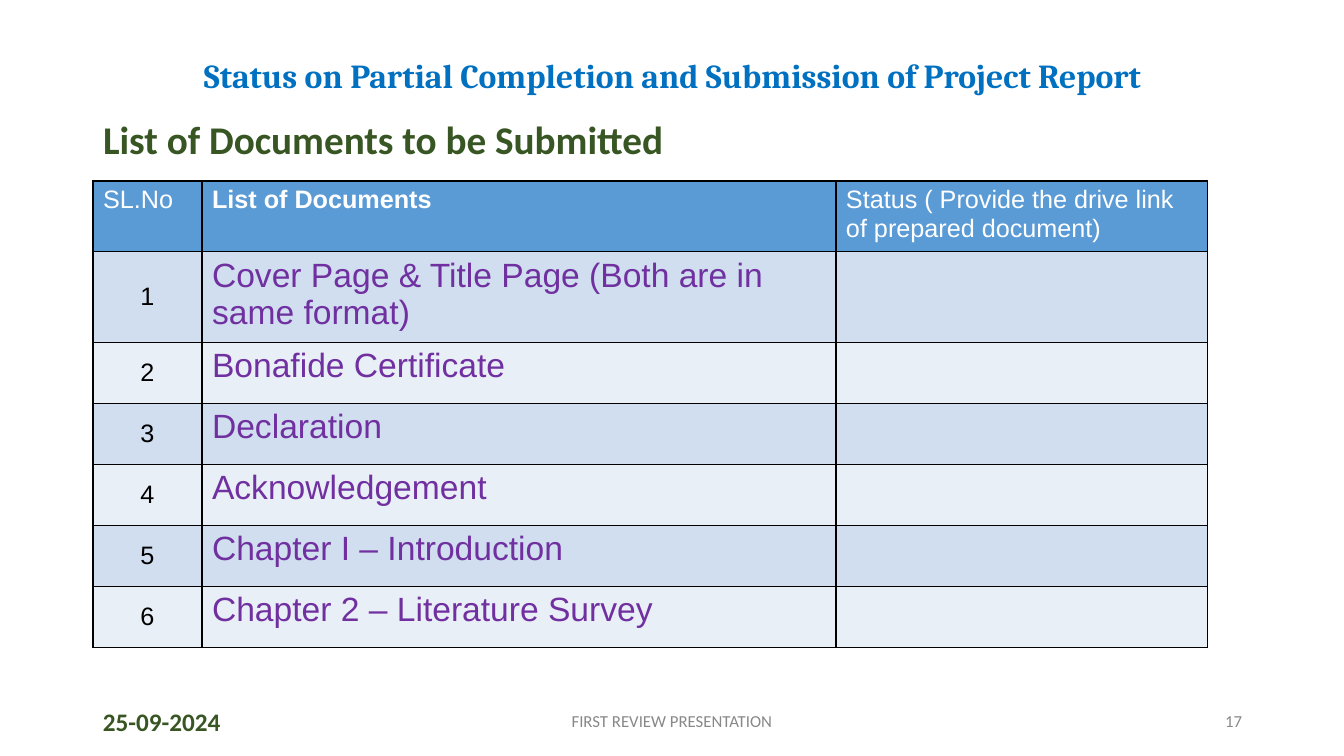
from dataclasses import dataclass

from lxml.etree import SubElement
from pptx import Presentation
from pptx.dml.color import RGBColor
from pptx.enum.text import MSO_ANCHOR as Anchor, MSO_AUTO_SIZE as AutoSize, PP_ALIGN as Align
from pptx.oxml.ns import qn
from pptx.util import Emu, Pt


def px(n: int) -> Emu:
    return Emu(round(n * 12192000 / 1344))


@dataclass(frozen=True)
class Style:
    font: str
    size: int
    color: str
    bold: bool = False


@dataclass(frozen=True)
class Theme:
    title: Style = Style("Cambria", 24, "0070C0", True)
    heading: Style = Style("Calibri", 28, "385623", True)
    date: Style = Style("Calibri", 18, "385623", True)
    footer: Style = Style("Calibri", 12, "888888")
    header: Style = Style("Arial", 18, "FFFFFF")
    header_bold: Style = Style("Arial", 18, "FFFFFF", True)
    number: Style = Style("Arial", 18, "000000")
    document: Style = Style("Arial", 24, "7030A0")
    header_fill: str = "5B9BD5"
    bands: tuple[str, str] = ("D0DEEF", "E9EFF7")
    border: str = "000000"


@dataclass(frozen=True)
class FooterItem:
    text: str
    left: int
    width: int
    align: Align
    style: Style


THEME = Theme()
LEFT, CONTENT_W = 93, 1159
FOOTER_TOP, FOOTER_H = 701, 40
TABLE_TOP, ROW_H = 181, 61
COLUMNS = (109, 634, 372)
HEADERS = (
    ("SL.No", THEME.header),
    ("List of Documents", THEME.header_bold),
    ("Status ( Provide the drive link of prepared document)", THEME.header),
)
DOCUMENTS = (
    "Cover Page & Title Page (Both are in same format)",
    "Bonafide Certificate",
    "Declaration",
    "Acknowledgement",
    "Chapter I – Introduction",
    "Chapter 2 – Literature Survey",
)
FOOTER = (
    FooterItem("25-09-2024", LEFT, 302, Align.LEFT, THEME.date),
    FooterItem("FIRST REVIEW PRESENTATION", 445, 454, Align.CENTER, THEME.footer),
    FooterItem("17", 950, 302, Align.RIGHT, THEME.footer),
)


def write(tf, text: str, style: Style, align: Align = Align.LEFT):
    """Set one formatted paragraph and return it."""
    tf.text = text
    p = tf.paragraphs[0]
    p.alignment = align
    for r in p.runs:
        r.font.name = style.font
        r.font.size = Pt(style.size)
        r.font.bold = style.bold
        r.font.color.rgb = RGBColor.from_string(style.color)
    return p


def fill_placeholder(sp, top: int, height: int, text: str, style: Style,
                     align: Align, anchor: Anchor) -> None:
    sp.left, sp.top, sp.width, sp.height = px(LEFT), px(top), px(CONTENT_W), px(height)
    tf = sp.text_frame
    tf.auto_size = AutoSize.NONE
    tf.vertical_anchor = anchor
    p = write(tf, text, style, align)
    p.line_spacing = 0.9
    p.space_before = Pt(0)
    pPr = p._p.get_or_add_pPr()
    pPr.set("marL", "0")
    pPr.set("indent", "0")
    SubElement(pPr, qn("a:buNone"))


def add_footer_item(slide, item: FooterItem) -> None:
    sp = slide.shapes.add_textbox(px(item.left), px(FOOTER_TOP), px(item.width), px(FOOTER_H))
    tf = sp.text_frame
    tf.word_wrap = True
    tf.vertical_anchor = Anchor.MIDDLE
    write(tf, item.text, item.style, item.align)


def format_cell(cell, fill: str) -> None:
    """Draw the four borders, then the fill, in the order the schema asks for."""
    tcPr = cell._tc.get_or_add_tcPr()
    for side in ("lnL", "lnR", "lnT", "lnB"):
        ln = SubElement(tcPr, qn(f"a:{side}"), w=str(Pt(1)))
        SubElement(SubElement(ln, qn("a:solidFill")), qn("a:srgbClr"), val=THEME.border)
    cell.fill.solid()
    cell.fill.fore_color.rgb = RGBColor.from_string(fill)


def add_documents_table(slide) -> None:
    rows = len(DOCUMENTS) + 1
    table = slide.shapes.add_table(rows, len(COLUMNS), px(LEFT), px(TABLE_TOP),
                                   px(sum(COLUMNS)), px(rows * ROW_H)).table
    for column, width in zip(table.columns, COLUMNS):
        column.width = px(width)
    for i, row in enumerate(table.rows):
        row.height = px(ROW_H)
        for cell in row.cells:
            format_cell(cell, THEME.bands[(i - 1) % 2] if i else THEME.header_fill)
    for j, (text, style) in enumerate(HEADERS):
        write(table.cell(0, j).text_frame, text, style)
    for i, document in enumerate(DOCUMENTS, 1):
        number = table.cell(i, 0)
        number.vertical_anchor = Anchor.MIDDLE
        write(number.text_frame, str(i), THEME.number, Align.CENTER)
        write(table.cell(i, 1).text_frame, document, THEME.document)


def main() -> None:
    prs = Presentation()
    prs.slide_width, prs.slide_height = px(1344), px(756)
    slide = prs.slides.add_slide(prs.slide_layouts[1])
    fill_placeholder(slide.shapes.title, 40, 76,
                     "Status on Partial Completion and Submission of Project Report",
                     THEME.title, Align.CENTER, Anchor.MIDDLE)
    fill_placeholder(slide.placeholders[1], 116, 480, "List of Documents to be Submitted",
                     THEME.heading, Align.LEFT, Anchor.TOP)
    for item in FOOTER:
        add_footer_item(slide, item)
    add_documents_table(slide)
    prs.save("out.pptx")


if __name__ == "__main__":
    main()
